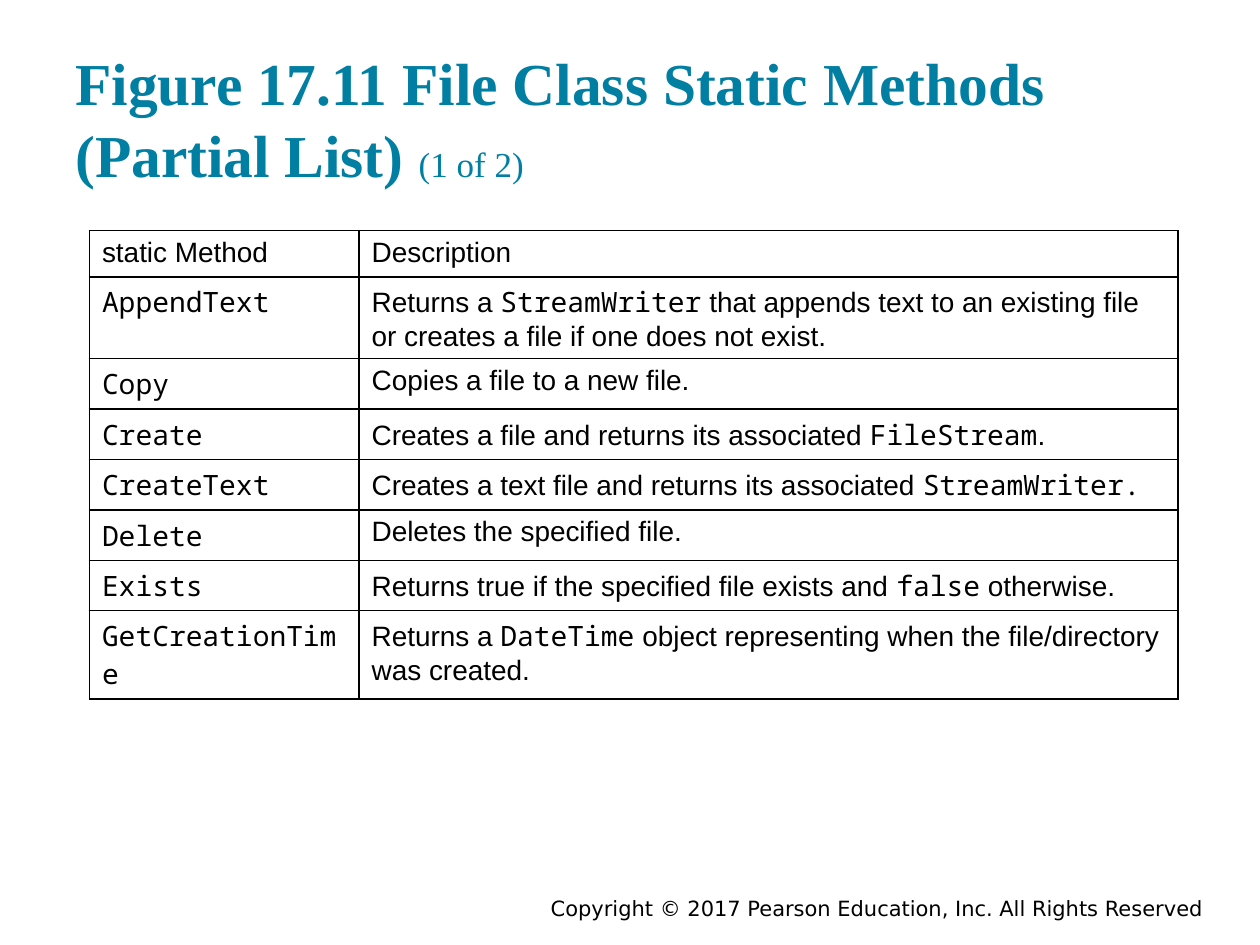
"""Builds the slide listing static methods of the File class."""
from lxml import etree
from pptx import Presentation
from pptx.dml.color import RGBColor
from pptx.enum.text import MSO_ANCHOR, PP_ALIGN
from pptx.oxml.ns import qn
from pptx.util import Inches, Pt

RIGHT = PP_ALIGN.RIGHT
MIDDLE = MSO_ANCHOR.MIDDLE
COLORS = {"title": "007FA3", "text": "000000", "paper": "FFFFFF"}
SANS, MONO = "Arial", "Noto Sans Mono"

METHODS = [
    ("static Method", "Description", 0.34),
    ("`AppendText`", "Returns a `StreamWriter` that appends text to an existing file "
     "or creates a file if one does not exist.", 0.65),
    ("`Copy`", "Copies a file to a new file.", 0.4),
    ("`Create`", "Creates a file and returns its associated `FileStream`.", 0.4),
    ("`CreateText`", "Creates a text file and returns its associated `StreamWriter.`", 0.4),
    ("`Delete`", "Deletes the specified file.", 0.4),
    ("`Exists`", "Returns true if the specified file exists and `false` otherwise.", 0.4),
    ("`GetCreationTime`", "Returns a `DateTime` object representing when the "
     "file/directory was created.", 0.7),
]


def style(font, size, color, name=None):
    font.size = Pt(size)
    font.color.rgb = RGBColor.from_string(COLORS[color])
    if name:
        font.name = name


def add_borders(cell):
    properties = cell._tc.get_or_add_tcPr()
    for side in ("lnL", "lnR", "lnT", "lnB"):
        line = etree.SubElement(properties, qn(f"a:{side}"), w=str(Pt(1)))
        fill = etree.SubElement(line, qn("a:solidFill"))
        etree.SubElement(fill, qn("a:srgbClr"), val=COLORS["text"])


prs = Presentation()
prs.slide_width, prs.slide_height = Inches(10), Inches(7.5)
slide = prs.slides.add_slide(prs.slide_layouts[6])

copyright_frame = slide.shapes.add_textbox(
    Inches(3), Inches(7.08), Inches(6.65), Inches(0.25)).text_frame
copyright_frame.word_wrap = True
copyright_frame.vertical_anchor = MIDDLE
copyright_line = copyright_frame.paragraphs[0]
copyright_line.text = "Copyright © 2017 Pearson Education, Inc. All Rights Reserved"
copyright_line.alignment = RIGHT
style(copyright_line.font, 12, "text", "DejaVu Sans")

title_frame = slide.shapes.add_textbox(
    Inches(0.5), Inches(0.24), Inches(9), Inches(1.2)).text_frame
title_frame.word_wrap = True
title_frame.margin_top = Inches(0.12)
title = title_frame.paragraphs[0]
title.line_spacing = Pt(41.3)
style(title.font, 34, "title", "Times New Roman")
figure_name = title.add_run()
figure_name.text = "Figure 17.11 File Class Static Methods (Partial List) "
figure_name.font.bold = True
part_number = title.add_run()
part_number.text = "(1 of 2)"
part_number.font.size = Pt(20)

methods = slide.shapes.add_table(
    len(METHODS), 2, Inches(0.71), Inches(1.83), Inches(8.64), Inches(3.69)).table
methods.first_row = methods.horz_banding = False
methods.columns[0].width = Inches(2.14)
methods.columns[1].width = Inches(6.5)

for row, (method, description, height) in enumerate(METHODS):
    methods.rows[row].height = Inches(height)
    for column, wording in enumerate((method, description)):
        cell = methods.cell(row, column)
        add_borders(cell)
        cell.fill.solid()
        cell.fill.fore_color.rgb = RGBColor.from_string(COLORS["paper"])
        paragraph = cell.text_frame.paragraphs[0]
        style(paragraph.font, 16, "text")
        for index, piece in enumerate(wording.split("`")):
            if piece:
                run = paragraph.add_run()
                run.text = piece
                run.font.name = MONO if index % 2 else SANS

prs.save("out.pptx")
